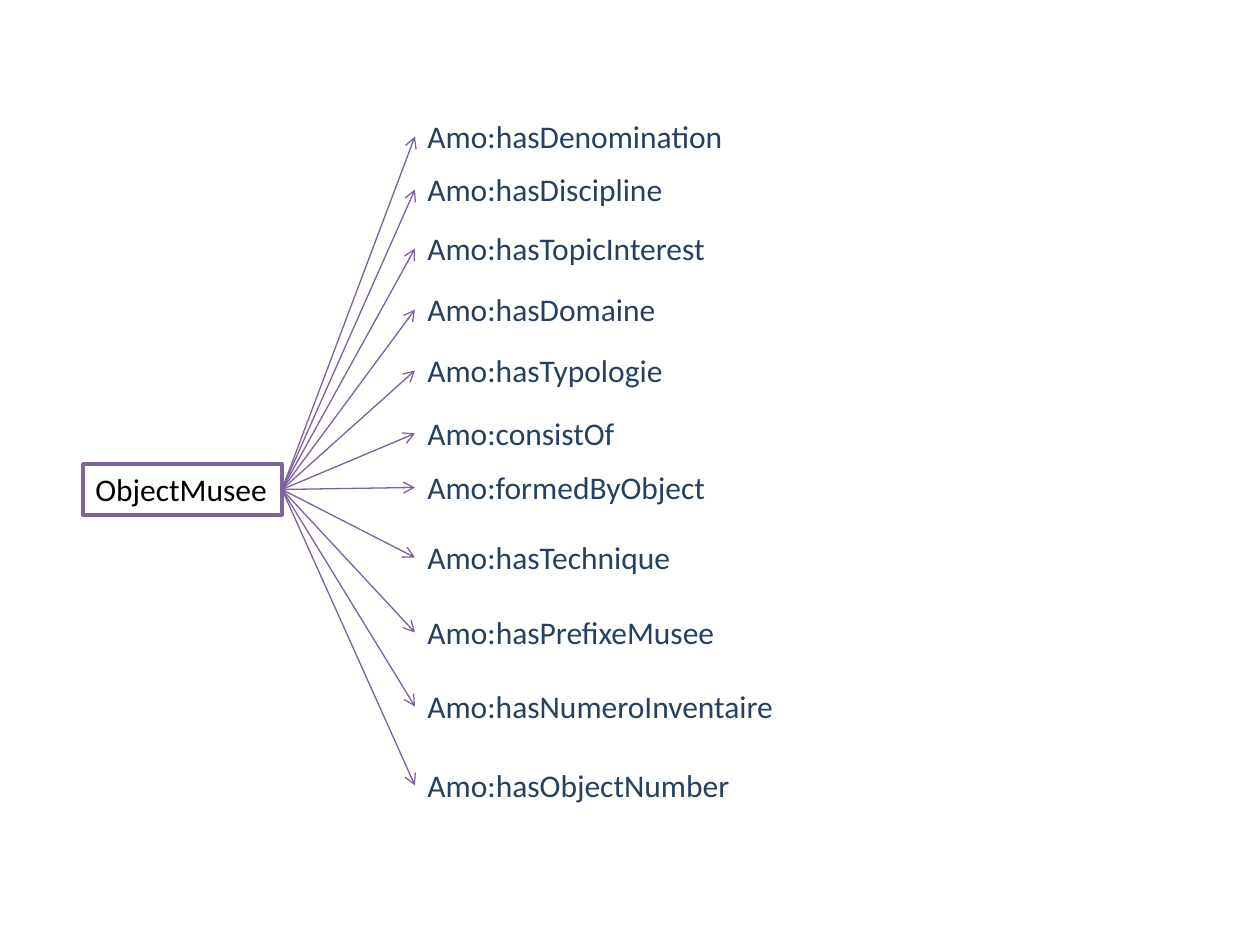
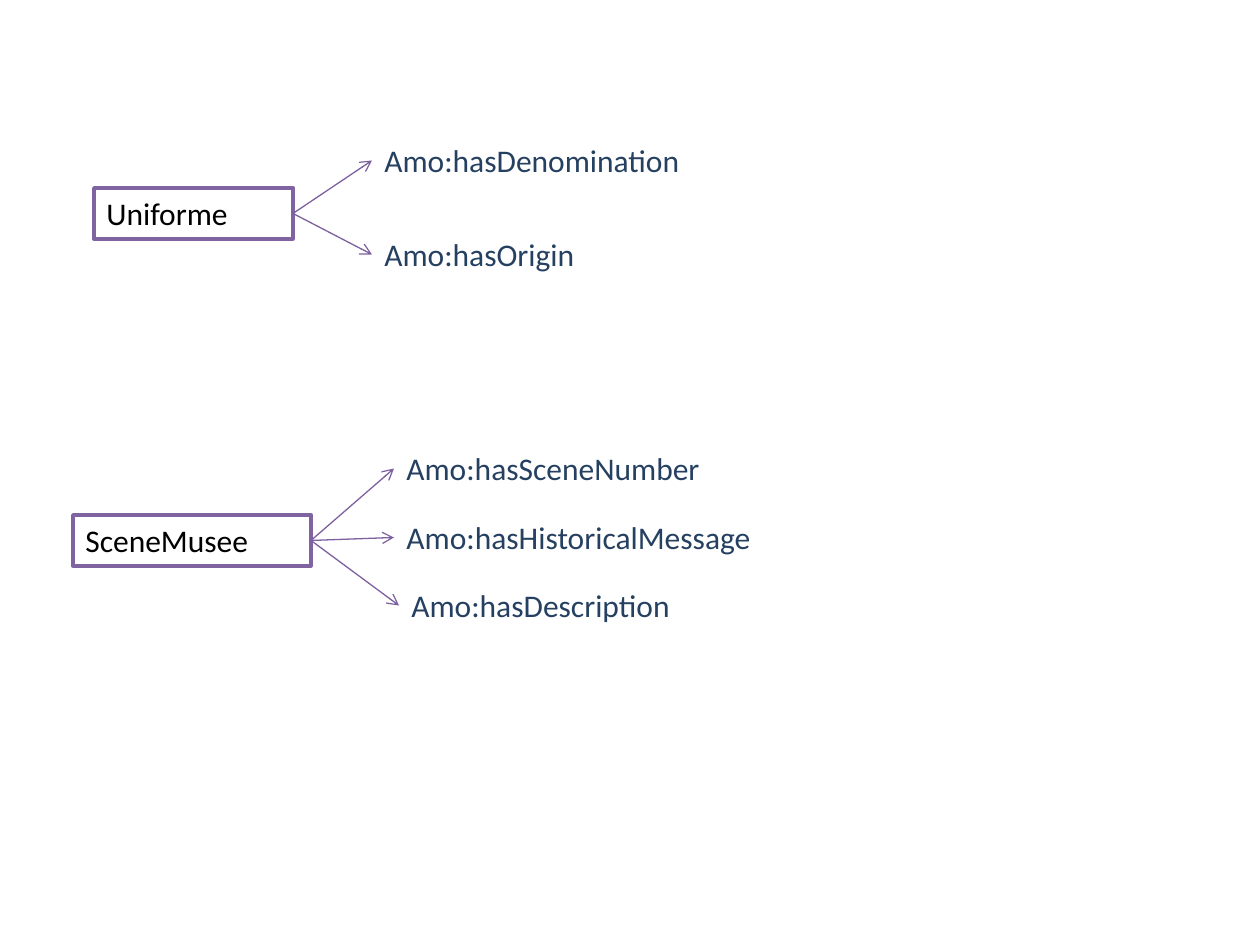
"""Draw the museum classes, each with arrows fanning out to its properties."""
from dataclasses import dataclass

from lxml.etree import SubElement as Sub
from pptx import Presentation
from pptx.dml.color import RGBColor as Rgb
from pptx.enum.shapes import MSO_CONNECTOR as Link, MSO_SHAPE as Form
from pptx.enum.text import MSO_ANCHOR as Anchor, MSO_AUTO_SIZE as Fit, PP_ALIGN as Align
from pptx.oxml.ns import qn
from pptx.shapes.autoshape import Shape
from pptx.slide import Slide
from pptx.util import Pt

SCALE = 914400 / 126
HIGH = 51
LEFT, RIGHT = 1, 3


@dataclass(frozen=True)
class Theme:
    font: str = "Calibri"
    size: int = 18
    ink: str = "000000"
    navy: str = "254061"
    paper: str = "FFFFFF"
    edge: str = "8064A2"
    arrow: str = "7D60A0"
    thick: float = 2
    thin: float = 0.75


@dataclass(frozen=True)
class Label:
    name: str
    top: int
    wide: int = 305
    shift: int = 0


@dataclass(frozen=True)
class Fan:
    name: str
    left: int
    top: int
    wide: int
    column: int
    labels: tuple[Label, ...]


THEME = Theme()

PAGES = (
    (
        Fan("ObjectMusee", 83, 464, 199, 415, (
            Label("hasDenomination", 111, 331),
            Label("hasDiscipline", 164),
            Label("hasTopicInterest", 223, 325),
            Label("hasDomaine", 284),
            Label("hasTypologie", 345),
            Label("consistOf", 408),
            Label("formedByObject", 462),
            Label("hasTechnique", 532),
            Label("hasPrefixeMusee", 607, 357),
            Label("hasNumeroInventaire", 681, 402),
            Label("hasObjectNumber", 760, 331),
        )),
    ),
    (
        Fan("Uniforme", 94, 188, 199, 372, (
            Label("hasDenomination", 135, 328),
            Label("hasOrigin", 229),
        )),
        Fan("SceneMusee", 73, 515, 238, 394, (
            Label("hasSceneNumber", 443, 355),
            Label("hasHistoricalMessage", 512, 394),
            Label("hasDescription", 580, shift=5),
        )),
    ),
)


def px(count: float) -> int:
    return round(count * SCALE)


def write(shape: Shape, text: str, color: str) -> None:
    frame = shape.text_frame
    look = {"word_wrap": True, "auto_size": Fit.SHAPE_TO_FIT_TEXT,
            "vertical_anchor": Anchor.TOP}
    for key, value in look.items():
        setattr(frame, key, value)
    line = frame.paragraphs[0]
    line.alignment = Align.LEFT
    run = line.add_run()
    run.text = text
    style = {"name": THEME.font, "size": Pt(THEME.size)}
    for key, value in style.items():
        setattr(run.font, key, value)
    run.font.color.rgb = Rgb.from_string(color)


def draw_box(slide: Slide, fan: Fan) -> Shape:
    spot = map(px, (fan.left, fan.top, fan.wide, HIGH))
    box = slide.shapes.add_shape(Form.RECTANGLE, *spot)
    box.shadow.inherit = False
    box.fill.solid()
    box.fill.fore_color.rgb = Rgb.from_string(THEME.paper)
    box.line.color.rgb = Rgb.from_string(THEME.edge)
    box.line.width = Pt(THEME.thick)
    write(box, fan.name, THEME.ink)
    return box


def draw_label(slide: Slide, label: Label, column: int) -> Shape:
    spot = map(px, (column + label.shift, label.top, label.wide, HIGH))
    text = slide.shapes.add_textbox(*spot)
    write(text, f"Amo:{label.name}", THEME.navy)
    return text


def draw_arrow(slide: Slide, start: Shape, end: Shape) -> None:
    arrow = slide.shapes.add_connector(Link.STRAIGHT, 0, 0, 0, 0)
    arrow.begin_connect(start, RIGHT)
    arrow.end_connect(end, LEFT)
    arrow.line.color.rgb = Rgb.from_string(THEME.arrow)
    arrow.line.width = Pt(THEME.thin)
    props = arrow.element.spPr
    Sub(props.find(qn("a:ln")), qn("a:tailEnd"), type="arrow")
    Sub(props, qn("a:effectLst"))


def draw_fan(slide: Slide, fan: Fan) -> None:
    box = draw_box(slide, fan)
    ends = [draw_label(slide, label, fan.column) for label in fan.labels]
    for end in ends:
        draw_arrow(slide, box, end)


def main() -> None:
    deck = Presentation()
    deck.slide_width, deck.slide_height = px(1260), px(945)
    for fans in PAGES:
        slide = deck.slides.add_slide(deck.slide_layouts[6])
        for fan in fans:
            draw_fan(slide, fan)
    deck.save("out.pptx")


main()
